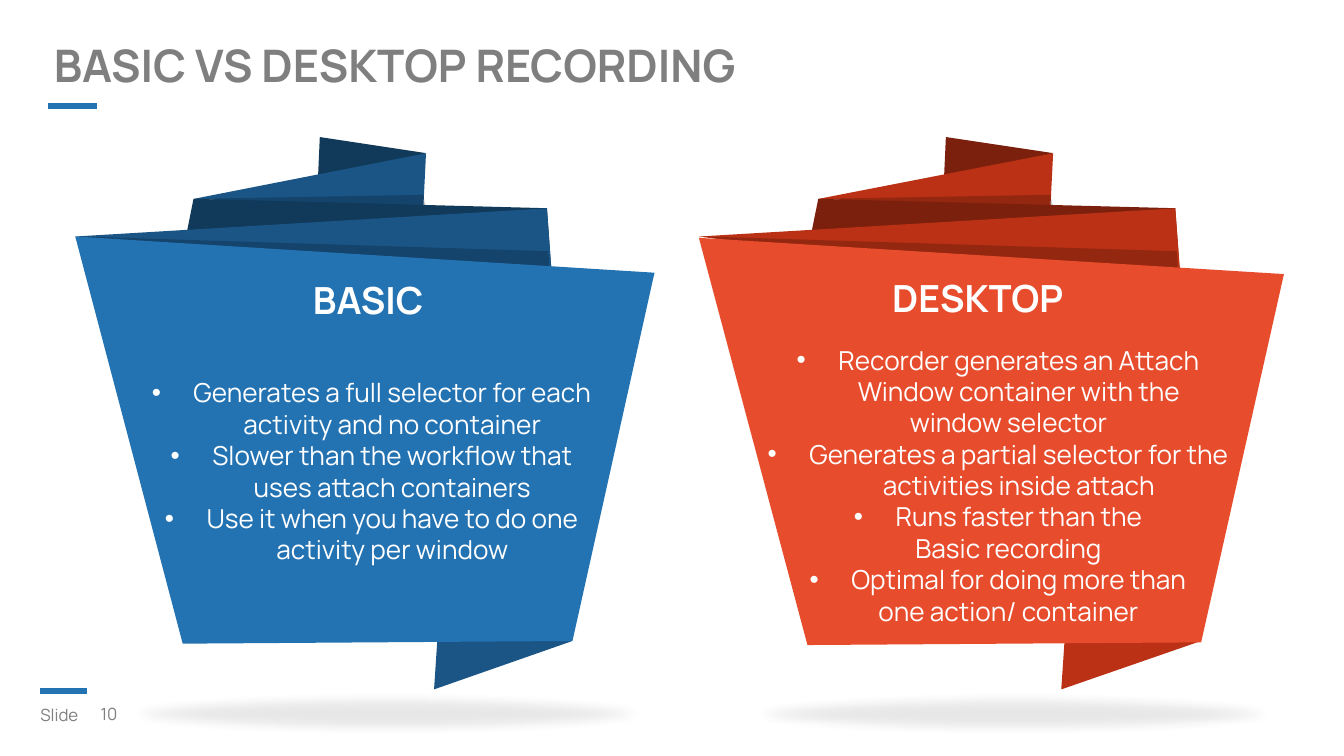
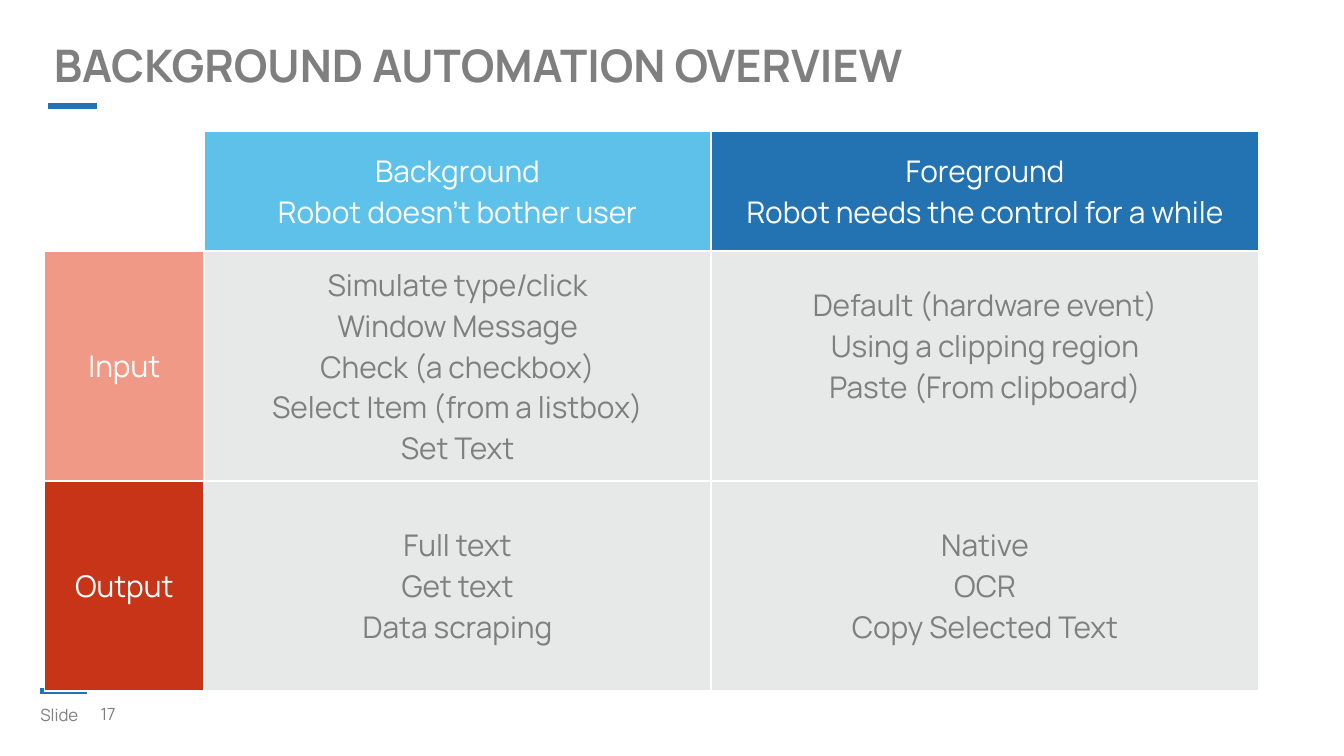
"""Build two slides: recording types on folded ribbons and an automation table."""
from lxml.etree import SubElement as Sub
from pptx import Presentation
from pptx.dml.color import RGBColor as RGB
from pptx.enum.shapes import MSO_CONNECTOR as Conn, MSO_SHAPE as Shape
from pptx.enum.text import MSO_ANCHOR as Anchor, PP_ALIGN as Align
from pptx.oxml.ns import qn
from pptx.util import Inches, Pt

BLUE = RGB(0x23, 0x72, 0xB2)
MID_BLUE = RGB(0x1A, 0x55, 0x86)
DARK_BLUE = RGB(0x11, 0x39, 0x59)
SKY = RGB(0x5E, 0xC1, 0xEA)
RED = RGB(0xE7, 0x4C, 0x2D)
MID_RED = RGB(0xBA, 0x31, 0x15)
DARK_RED = RGB(0x7C, 0x20, 0x0E)
BRICK = RGB(0xC7, 0x34, 0x17)
PINK = RGB(0xF1, 0x99, 0x87)
GRAY = RGB(0x7F, 0x7F, 0x7F)
PALE = RGB(0xE7, 0xE8, 0xE8)
WHITE = RGB(0xFF, 0xFF, 0xFF)
BLACK = RGB(0, 0, 0)
FONT = "Manrope"

LEFT = 0.56
FOLDS = [
    ("dark", [(3.17, 1.14), (2.38, 1.02), (2.36, 1.46)]),
    ("mid", [(3.15, 1.55), (3.17, 1.14), (1.44, 1.48)]),
    ("shade", [(3.17, 1.55), (3.15, 1.45), (1.46, 1.48)]),
    ("dark", [(4.11, 2.11), (4.07, 1.55), (1.44, 1.48), (1.34, 1.98)]),
    ("mid", [(0.56, 1.76), (4.07, 1.55), (4.12, 2.24)]),
    ("mid", [(4.26, 4.77), (3.23, 5.13), (3.27, 4.53)]),
    ("shade", [(0.59, 1.76), (4.08, 1.87), (4.1, 2.19)]),
]
BODY = [(4.26, 4.77), (4.87, 2.03), (0.56, 1.76), (1.36, 4.79)]

BASIC = [
    "• Generates a full selector for each activity and no container",
    "• Slower than the workflow that uses attach containers",
    "• Use it when you have to do one activity per window",
]
DESKTOP = [
    "• Recorder generates an Attach Window container with the",
    "window selector",
    "• Generates a partial selector for the activities inside attach",
    "• Runs faster than the",
    "Basic recording",
    "• Optimal for doing more than",
    "one action/ container",
]
COLS = [1.19, 3.77, 4.08]
ROWS = [0.89, 1.71, 1.56]
CELLS = [
    [("", WHITE, WHITE),
     ("Background\nRobot doesn’t bother user", SKY, WHITE),
     ("Foreground\nRobot needs the control for a while", BLUE, WHITE)],
    [("Input", PINK, WHITE),
     ("Simulate type/click\nWindow Message\nCheck (a checkbox)\n"
      "Select Item (from a listbox)\nSet Text", PALE, GRAY),
     ("Default (hardware event)\nUsing a clipping region\n"
      "Paste (From clipboard)", PALE, GRAY)],
    [("Output", BRICK, WHITE),
     ("Full text\nGet text\nData scraping", PALE, GRAY),
     ("Native\nOCR\nCopy Selected Text", PALE, GRAY)],
]


def inset(item, left, top, right, bottom):
    """Set the four margins of a frame or cell."""
    item.margin_left, item.margin_top = Inches(left), Inches(top)
    item.margin_right, item.margin_bottom = Inches(right), Inches(bottom)


def write(frame, text, size=16, color=GRAY, bold=False, align=Align.LEFT,
          space=None, hang=0):
    """Fill a frame, one paragraph a line; a leading dot makes a bullet."""
    for num, line in enumerate(text.split("\n")):
        para = frame.add_paragraph() if num else frame.paragraphs[0]
        if hang:
            props = para._p.get_or_add_pPr()
            dot = line.startswith("• ")
            props.set("marL", str(Inches(hang if dot else hang / 2)))
            props.set("indent", str(Inches(-hang if dot else 0)))
            if dot:
                Sub(props, qn("a:buFont"), typeface="Arial")
                Sub(props, qn("a:buChar"), char="•")
                line = line[2:]
        para.alignment = align
        if space:
            para.line_spacing = space
        run = para.add_run()
        run.text = line
        font = run.font
        font.name, font.size, font.bold = FONT, Pt(size), bold
        font.color.rgb = color


class Deck:
    """Hold the style and the current slide."""

    def __init__(self):
        self.prs = Presentation()
        self.prs.slide_width = Inches(10)
        self.prs.slide_height = Inches(10) * 9 // 16

    def page(self, title, num):
        """Start a slide with its title, accent lines and footer."""
        layout = self.prs.slide_layouts[5]
        self.shapes = self.prs.slides.add_slide(layout).shapes
        head = self.shapes.title
        head.left, head.top = Inches(0.3), Inches(0.27)
        head.width, head.height = Inches(7.78), Inches(0.41)
        frame = head.text_frame
        inset(frame, 0.1, 0.1, 0.1, 0.1)
        frame.vertical_anchor = Anchor.TOP
        write(frame, title, size=24, bold=True, space=0.75)
        self.rule(0.3, 5.14, 0.35)
        self.rule(0.36, 0.79, 0.36)
        count = self.label(str(num), 0.65, 5.18, 0.53, 0.27, size=9)
        count.vertical_anchor = Anchor.MIDDLE
        word = self.label("Slide", 0.23, 5.2, 0.45, 0.23, size=9)
        inset(word, 0.07, 0.04, 0.07, 0.04)

    def rule(self, x, y, width):
        """Draw a short accent line."""
        line = self.shapes.add_connector(
            Conn.STRAIGHT, Inches(x), Inches(y), Inches(x + width), Inches(y))
        line.line.color.rgb, line.line.width = BLUE, Pt(3)
        Sub(line._element.spPr, qn("a:effectLst"))

    def label(self, text, x, y, width, height, **style):
        """Add a one-line text box and return its frame."""
        box = self.shapes.add_textbox(
            Inches(x), Inches(y), Inches(width), Inches(height))
        frame = box.text_frame
        frame.word_wrap = False
        inset(frame, 0.1, 0.05, 0.1, 0.05)
        write(frame, text, **style)
        return frame

    def paint(self, shape, color, alpha=100):
        """Give a shape a flat fill without line or shadow."""
        shape.shadow.inherit = False
        shape.line.fill.background()
        shape.fill.solid()
        shape.fill.fore_color.rgb = color
        if alpha < 100:
            tone = shape._element.spPr.find(qn("a:solidFill"))[0]
            Sub(tone, qn("a:alpha"), val=str(alpha * 1000))

    def fold(self, points, color, alpha=100):
        """Draw a closed outline."""
        spots = [(Inches(x), Inches(y)) for x, y in points]
        pen = self.shapes.build_freeform(*spots[0])
        pen.add_line_segments(spots[1:], close=True)
        shape = pen.convert_to_shape()
        self.paint(shape, color, alpha)
        return shape

    def glow(self, x, y, width, height):
        """Draw a soft ground shadow."""
        oval = self.shapes.add_shape(
            Shape.OVAL, Inches(x), Inches(y), Inches(width), Inches(height))
        self.paint(oval, BLACK, 10)
        effects = oval._element.spPr.find(qn("a:effectLst"))
        Sub(effects, qn("a:softEdge"), rad=str(Pt(6)))

    def ribbon(self, x, scale, drop, tones, lines, base):
        """Draw a folded ribbon with its bullet text."""
        def place(points, down=0):
            return [(x + (px - LEFT) * scale, py + down) for px, py in points]

        for tone, points in FOLDS:
            if tone == "shade":
                self.fold(place(points), BLACK, 20)
            else:
                self.fold(place(points), tones[tone])
        frame = self.fold(place(BODY, drop), tones["main"]).text_frame
        frame.word_wrap = True
        frame.vertical_anchor = Anchor.MIDDLE
        inset(frame, 0.5, 0.7, 0.4, base)
        write(frame, "\n".join(lines), size=14, color=WHITE,
              align=Align.CENTER, hang=0.31)
        self.glow(x + 0.14, 5.13, 4.35 * scale, 0.36)

    def grid(self, x, y, cols, rows, cells):
        """Add a table with white borders."""
        table = self.shapes.add_table(
            len(rows), len(cols), Inches(x), Inches(y),
            Inches(sum(cols)), Inches(sum(rows))).table
        for col, width in zip(table.columns, cols):
            col.width = Inches(width)
        for row, height in zip(table.rows, rows):
            row.height = Inches(height)
        for r, row in enumerate(cells):
            for c, (text, fill, color) in enumerate(row):
                self.cell(table.cell(r, c), text, fill, color)
        return table

    def cell(self, cell, text, fill, color):
        """Format and fill one table cell."""
        props = cell._tc.get_or_add_tcPr()
        for side in ("lnL", "lnR", "lnT", "lnB"):
            edge = Sub(props, qn("a:" + side), w=str(Pt(1)))
            Sub(Sub(edge, qn("a:solidFill")), qn("a:srgbClr"), val=str(WHITE))
        cell.fill.solid()
        cell.fill.fore_color.rgb = fill
        cell.vertical_anchor = Anchor.MIDDLE
        inset(cell, 0.1, 0.1, 0.1, 0.1)
        if text:
            write(cell.text_frame, text, color=color, align=Align.CENTER)


def main():
    """Build and save the deck."""
    deck = Deck()
    deck.page("BASIC VS DESKTOP RECORDING", 10)
    blues = {"main": BLUE, "mid": MID_BLUE, "dark": DARK_BLUE}
    reds = {"main": RED, "mid": MID_RED, "dark": DARK_RED}
    deck.ribbon(LEFT, 1, 0, blues, BASIC, 0.24)
    deck.ribbon(5.2, 1.01, 0.01, reds, DESKTOP, 0.05)
    head = {"size": 20, "color": WHITE, "bold": True}
    deck.label("BASIC", 2.23, 2.01, 1.08, 0.44, **head)
    deck.label("DESKTOP", 6.54, 2, 1.56, 0.44, **head)

    deck.page("BACKGROUND AUTOMATION OVERVIEW", 17)
    table = deck.grid(0.33, 0.98, COLS, ROWS, CELLS)
    table.cell(1, 2).margin_bottom = Inches(0.4)
    deck.prs.save("out.pptx")


if __name__ == "__main__":
    main()
